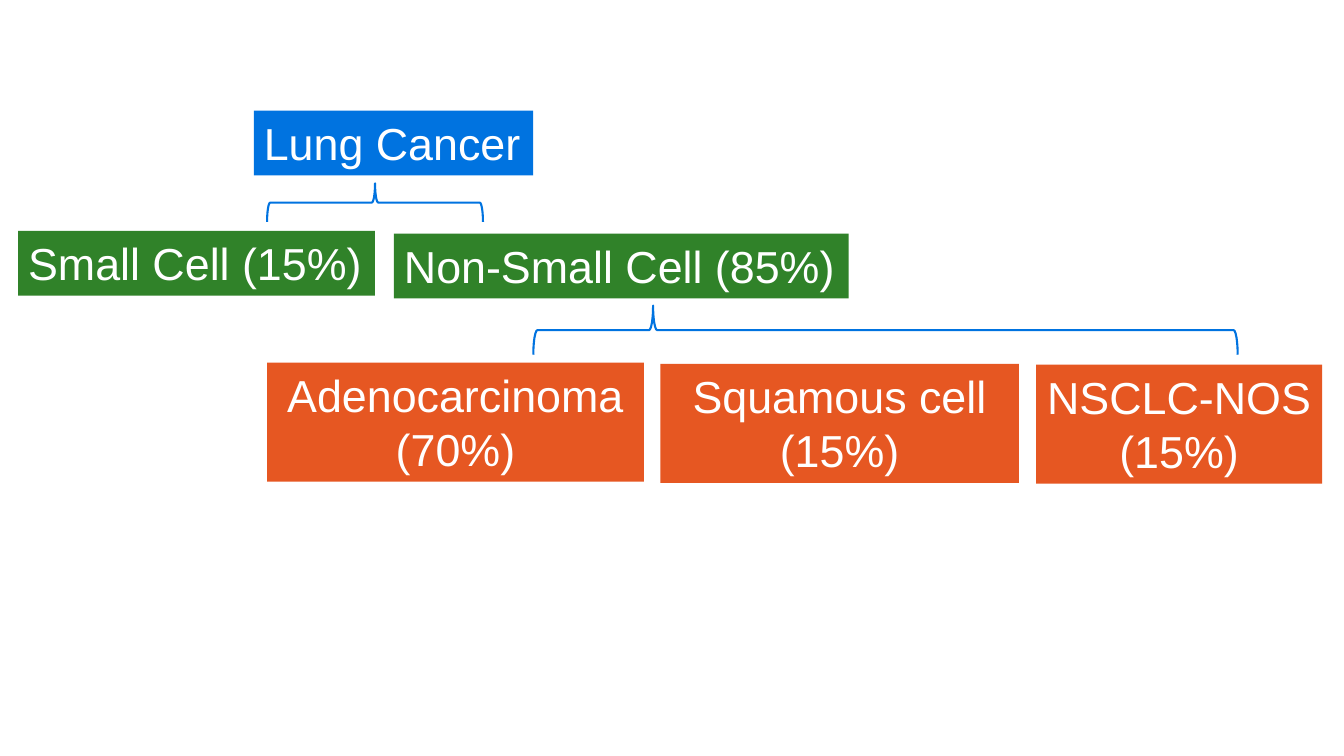
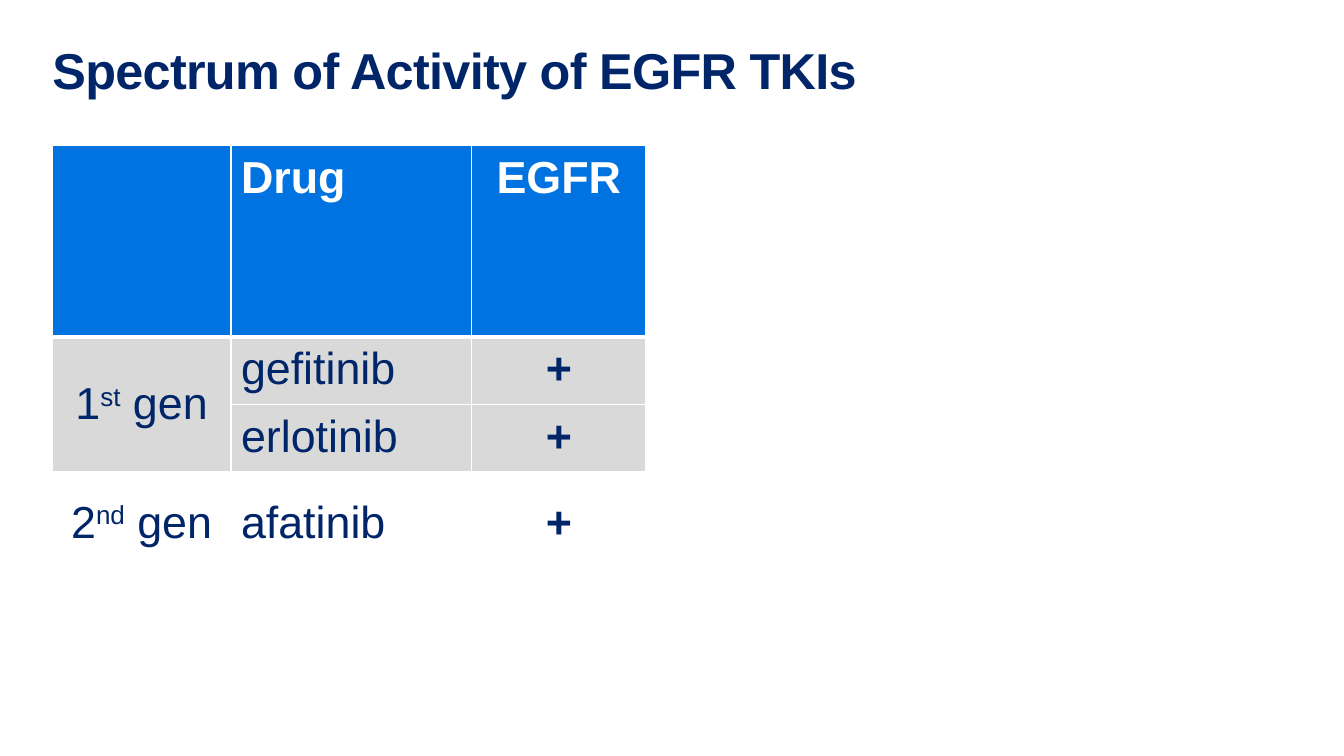
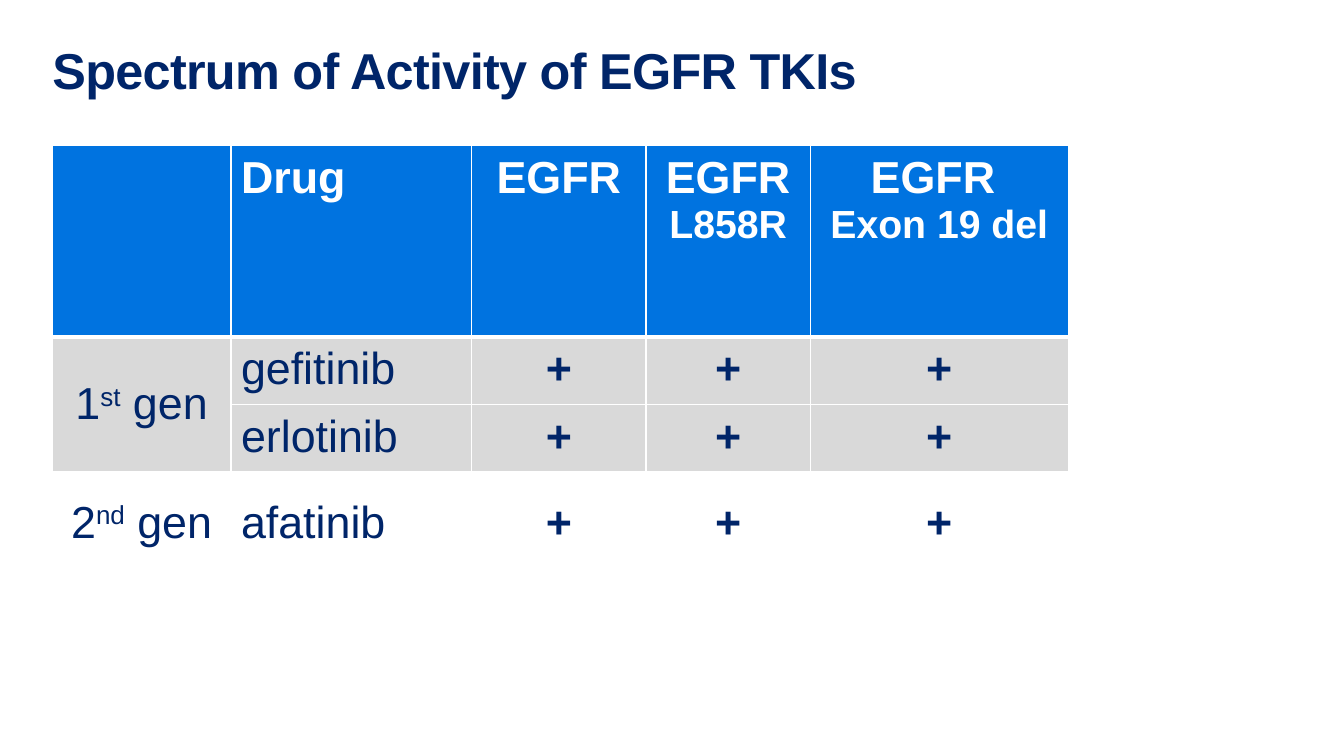
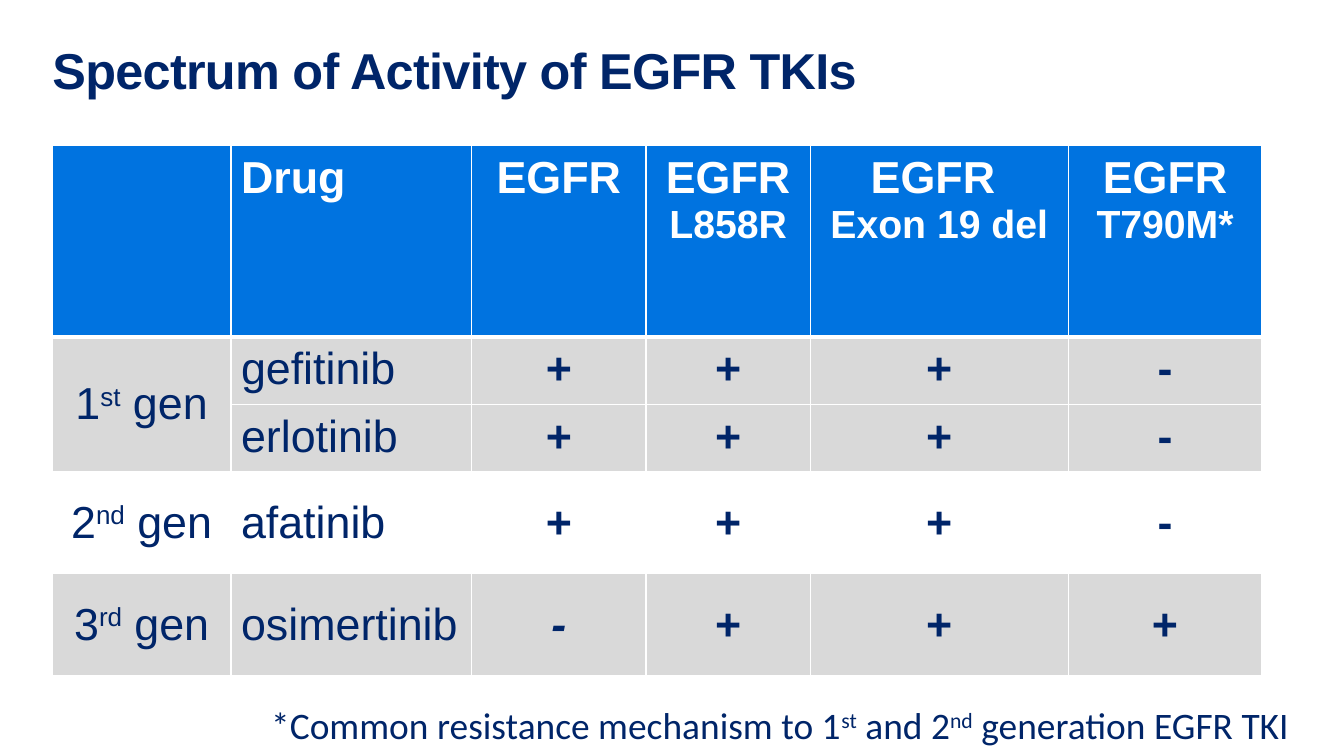
from pptx import Presentation, util as u
from pptx.dml.color import RGBColor
from pptx.enum import shapes, text
from pptx.oxml import parse_xml
from pptx.oxml.ns import nsdecls

BLUE = RGBColor(0x00, 0x73, 0xE0)
GREEN = RGBColor(0x30, 0x82, 0x29)
RUST = RGBColor(0xE6, 0x57, 0x22)
NAVY = RGBColor(0x00, 0x25, 0x69)
GREY = RGBColor(0xD9, 0xD9, 0xD9)
WHITE = RGBColor(0xFF, 0xFF, 0xFF)
LEFT = text.PP_ALIGN.LEFT
MID = text.PP_ALIGN.CENTER

BOXES = [
    ("Lung Cancer", BLUE, LEFT, (6.4, 2.79, 7.04, 1.63)),
    ("Small Cell (15%)", GREEN, LEFT, (0.46, 5.82, 8.99, 1.63)),
    ("Non-Small Cell (85%)", GREEN, LEFT, (9.93, 5.89, 11.46, 1.63)),
    ("Adenocarcinoma (70%)", RUST, MID, (6.73, 9.14, 9.5, 3)),
    ("Squamous cell (15%)", RUST, MID, (16.64, 9.17, 9.04, 3)),
    ("NSCLC-NOS\n(15%)", RUST, MID, (26.11, 9.19, 7.21, 3)),
]
BRACES = [
    ((6.73, 4.62, 5.44, 0.97), 0.5),
    ((13.44, 7.7, 17.75, 1.24), 0.83),
]
TITLE = "Spectrum of Activity of EGFR TKIs"
HEADS = [
    [],
    [["Drug"]],
    [["EGFR"]],
    [["EGFR ", "L858R"]],
    [["EGFR "], ["", "Exon 19 del"]],
    [["EGFR ", "T790M*"]],
]
DRUGS = [
    ("1^st^ gen", "gefitinib", "+++-"),
    ("", "erlotinib", "+++-"),
    ("2^nd^ gen", "afatinib", "+++-"),
    ("3^rd^ gen", "osimertinib", "-+++"),
]
WIDTHS = [4.5, 6.07, 4.39, 4.14, 6.5, 4.88]
HEIGHTS = [4.83, 1.7, 1.7, 2.57, 2.57]
STAGES = [(3, 3), (5, 3), (6, 4)]
NOTE = "*Common resistance mechanism to 1^st^ and 2^nd^ generation EGFR TKI"


def cms(*nums):
    return [u.Cm(n) for n in nums]


def style(para, size, color, bold=False, face="Arial", align=LEFT):
    para.alignment = align
    font = para.font
    font.name, font.size, font.bold = face, u.Pt(size), bold
    font.color.rgb = color


def raised(para, words):
    for n, part in enumerate(words.split("^")):
        run = para.add_run()
        run.text = part
        if n % 2:
            run.font._element.set("baseline", "30000")


def add_box(slide, words, fill, align, place):
    box = slide.shapes.add_shape(shapes.MSO_SHAPE.RECTANGLE, *cms(*place))
    box.shadow.inherit = False
    box.fill.solid()
    box.fill.fore_color.rgb = fill
    box.line.fill.background()
    frame = box.text_frame
    frame.word_wrap = align == MID
    frame.vertical_anchor = text.MSO_ANCHOR.TOP
    frame.text = words
    for para in frame.paragraphs:
        style(para, 32, WHITE, align=align)


def add_brace(slide, place, tip):
    left, top, wide, high = place
    shift = (wide - high) / 2
    brace = slide.shapes.add_shape(
        shapes.MSO_SHAPE.LEFT_BRACE, *cms(left + shift, top - shift, high, wide))
    brace.rotation = 90
    brace.adjustments[1] = tip
    brace.shadow.inherit = False
    brace.fill.background()
    brace.line.color.rgb = BLUE
    brace.line.width = u.Pt(1.5)


def add_title(slide):
    title = slide.shapes.title
    title.left, title.top, title.width, title.height = cms(1.32, 1.17, 31.65, 3)
    frame = title.text_frame
    frame.text = TITLE
    frame.auto_size = text.MSO_AUTO_SIZE.NONE
    frame.vertical_anchor = text.MSO_ANCHOR.TOP
    frame.margin_left = frame.margin_right = 0
    frame.margin_top = frame.margin_bottom = 0
    para = frame.paragraphs[0]
    para.line_spacing = 0.9
    style(para, 36, NAVY, True)
    para.runs[0].font._element.set("spc", "-50")


def paint(cell, fill, row):
    if fill is None:
        cell.fill.background()
    else:
        cell.fill.solid()
        cell.fill.fore_color.rgb = fill
    cell.margin_top = cell.margin_bottom = u.Cm(0.18)
    thick = {"T": 3 if row == 1 else 1, "B": 3 if row == 0 else 1}
    props = cell._tc.get_or_add_tcPr()
    for n, side in enumerate("LRTB"):
        props.insert(n, parse_xml(
            f'<a:ln{side} {nsdecls("a")} w="{u.Pt(thick.get(side, 1))}">'
            f'<a:solidFill><a:srgbClr val="{WHITE}"/></a:solidFill></a:ln{side}>'))


def fill_head(cell, lines, align):
    frame = cell.text_frame
    for n, parts in enumerate(lines):
        para = frame.add_paragraph() if n else frame.paragraphs[0]
        style(para, 32, WHITE, True, align=align)
        for words, size in zip(parts, (32, 28)):
            if words:
                run = para.add_run()
                run.text = words
                run.font.size = u.Pt(size)


def add_grid(slide, cols, drugs):
    wide, high = WIDTHS[:cols], HEIGHTS[:drugs + 1]
    frame = slide.shapes.add_table(
        drugs + 1, cols, *cms(1.32, 3.66, sum(wide), sum(high)))
    grid = frame.table
    for col, size in zip(grid.columns, wide):
        col.width = u.Cm(size)
    for row, size in zip(grid.rows, high):
        row.height = u.Cm(size)
    for c in range(cols):
        cell = grid.cell(0, c)
        paint(cell, BLUE, 0)
        fill_head(cell, HEADS[c], LEFT if c == 1 else MID)
    for r, (gen, drug, marks) in enumerate(DRUGS[:drugs], 1):
        for c, words in enumerate([gen, drug, *marks][:cols]):
            cell = grid.cell(r, c)
            paint(cell, None if r == 3 else GREY, r)
            if c == 0 or r > 2:
                cell.vertical_anchor = text.MSO_ANCHOR.MIDDLE
            para = cell.text_frame.paragraphs[0]
            style(para, 32, NAVY, c > 1, align=LEFT if c == 1 else MID)
            if words:
                raised(para, words)
            if r == 4 and words == "-":
                para.font.italic = True
    grid.cell(1, 0).merge(grid.cell(2, 0))


def add_note(slide):
    box = slide.shapes.add_textbox(*cms(5.54, 17.58, 28.24, 1.4))
    box.text_frame.word_wrap = False
    para = box.text_frame.paragraphs[0]
    style(para, 26.7, NAVY, face="Calibri", align=MID)
    raised(para, NOTE)


def main():
    deck = Presentation()
    deck.slide_width, deck.slide_height = cms(33.87, 19.05)
    tree = deck.slides.add_slide(deck.slide_layouts[6])
    for box in BOXES:
        add_box(tree, *box)
    for brace in BRACES:
        add_brace(tree, *brace)
    for stage in STAGES:
        slide = deck.slides.add_slide(deck.slide_layouts[5])
        add_title(slide)
        add_grid(slide, *stage)
    add_note(slide)
    deck.save("out.pptx")


if __name__ == "__main__":
    main()
